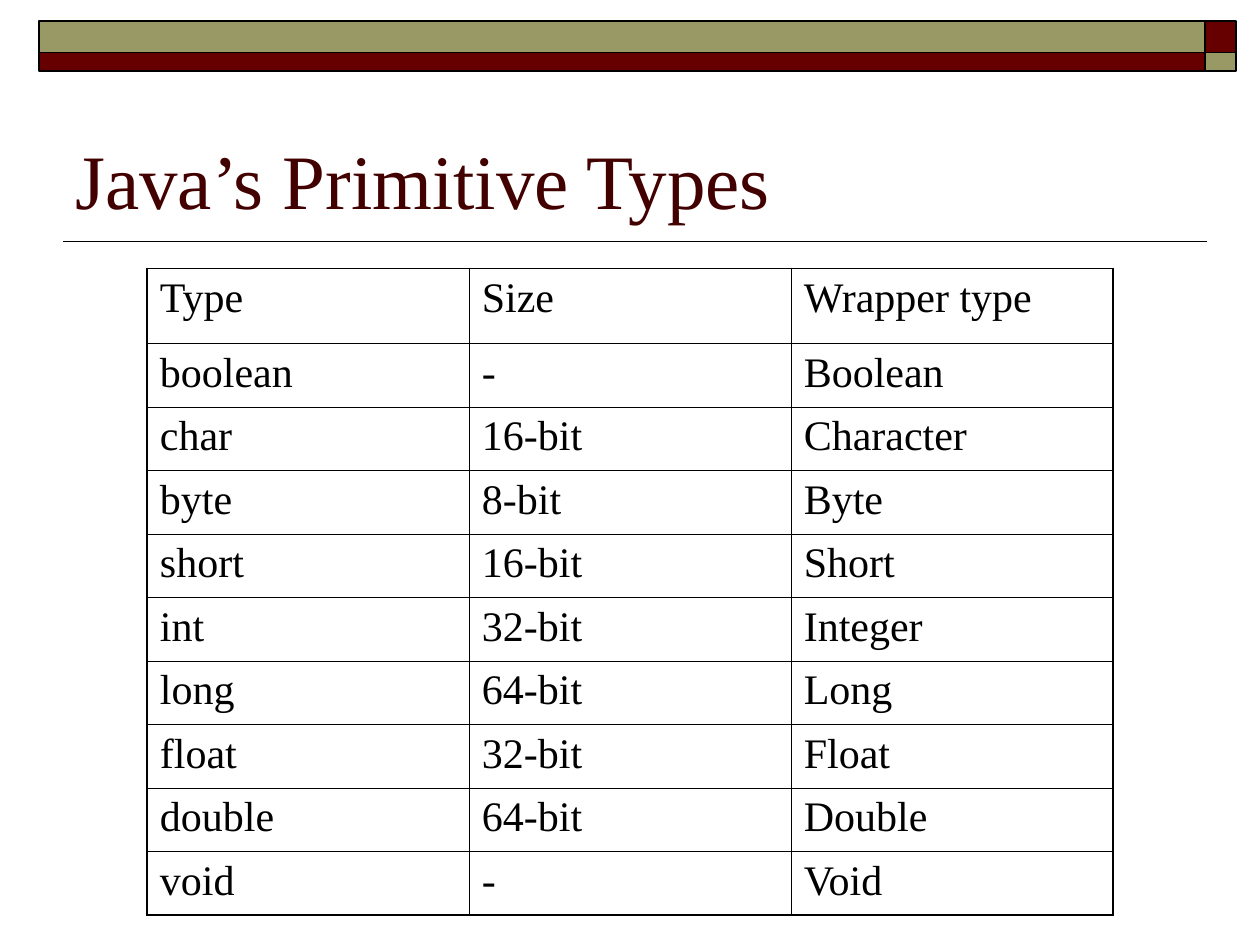
from lxml import etree
from pptx import Presentation
from pptx import util as u
from pptx.dml.color import RGBColor
from pptx.enum import shapes, text
from pptx.oxml.ns import qn

Cm, Pt = u.Cm, u.Pt
FONT = "Times New Roman"
BLACK, MAROON, OLIVE, TITLE_COLOR = "000000", "660000", "999966", "420000"

TYPES = [
    ("Type", "Size", "Wrapper type"),
    ("boolean", "-", "Boolean"),
    ("char", "16-bit", "Character"),
    ("byte", "8-bit", "Byte"),
    ("short", "16-bit", "Short"),
    ("int", "32-bit", "Integer"),
    ("long", "64-bit", "Long"),
    ("float", "32-bit", "Float"),
    ("double", "64-bit", "Double"),
    ("void", "-", "Void"),
]


def rgb(value):
    return RGBColor.from_string(value)


def style(paragraph, size, color):
    paragraph.font.name = FONT
    paragraph.font.size = Pt(size)
    paragraph.font.color.rgb = rgb(color)


def add_bar(slide, left, top, width, height, color):
    bar = slide.shapes.add_shape(
        shapes.MSO_SHAPE.RECTANGLE, Cm(left), Cm(top), Cm(width), Cm(height))
    bar.shadow.inherit = False
    bar.fill.solid()
    bar.fill.fore_color.rgb = rgb(color)
    bar.line.color.rgb = rgb(BLACK)
    bar.line.width = Pt(1)


def add_banner(slide):
    """Two stacked bars, each with a cap in the other bar's colour."""
    left, long, short = 0.79, 23.5, 0.63
    for top, height, color, cap in ((0.43, 0.63, OLIVE, MAROON),
                                    (1.06, 0.38, MAROON, OLIVE)):
        add_bar(slide, left, top, long, height, color)
        add_bar(slide, left + long, top, short, height, cap)


def add_rule(slide, left, right, y):
    rule = slide.shapes.add_connector(
        shapes.MSO_CONNECTOR.STRAIGHT, Cm(left), Cm(y), Cm(right), Cm(y))
    rule.line.color.rgb = rgb(BLACK)
    rule.line.width = Pt(1)
    etree.SubElement(rule._element.spPr, qn("a:effectLst"))


def add_title(slide, words):
    box = slide.shapes.add_textbox(Cm(1.27), Cm(1.48), Cm(22.86), Cm(3.17))
    frame = box.text_frame
    frame.word_wrap = True
    frame.vertical_anchor = text.MSO_ANCHOR.BOTTOM
    frame.text = words
    style(frame.paragraphs[0], 44, TITLE_COLOR)


def set_borders(cell, widths):
    """Draw black cell edges; widths are points for left, right, top, bottom."""
    properties = cell._tc.get_or_add_tcPr()
    for position, (side, width) in enumerate(zip("LRTB", widths)):
        edge = etree.Element(qn(f"a:ln{side}"), w=str(Pt(width)))
        fill = etree.SubElement(edge, qn("a:solidFill"))
        etree.SubElement(fill, qn("a:srgbClr"), val=BLACK)
        properties.insert(position, edge)


def add_type_table(slide, rows):
    column_width, header_height, row_height = Cm(6.49), Cm(1.52), Cm(1.28)
    last_row, last_column = len(rows) - 1, len(rows[0]) - 1
    table = slide.shapes.add_table(
        len(rows), len(rows[0]), Cm(2.97), Cm(5.41),
        column_width * len(rows[0]), header_height + row_height * last_row).table
    table.first_row = table.horz_banding = False
    for column in table.columns:
        column.width = column_width
    for r, values in enumerate(rows):
        table.rows[r].height = row_height if r else header_height
        for c, value in enumerate(values):
            cell = table.cell(r, c)
            cell.text = value
            cell.fill.background()
            style(cell.text_frame.paragraphs[0], 24, BLACK)
            outer = (c == 0, c == last_column, r == 0, r == last_row)
            set_borders(cell, [1.08 if edge else 0.45 for edge in outer])


def main():
    deck = Presentation()
    deck.slide_width, deck.slide_height = Cm(25.4), Cm(19.05)
    slide = deck.slides.add_slide(deck.slide_layouts[6])
    add_rule(slide, 1.27, 24.34, 4.87)
    add_banner(slide)
    add_title(slide, "Java’s Primitive Types")
    add_type_table(slide, TYPES)
    deck.save("out.pptx")


if __name__ == "__main__":
    main()
